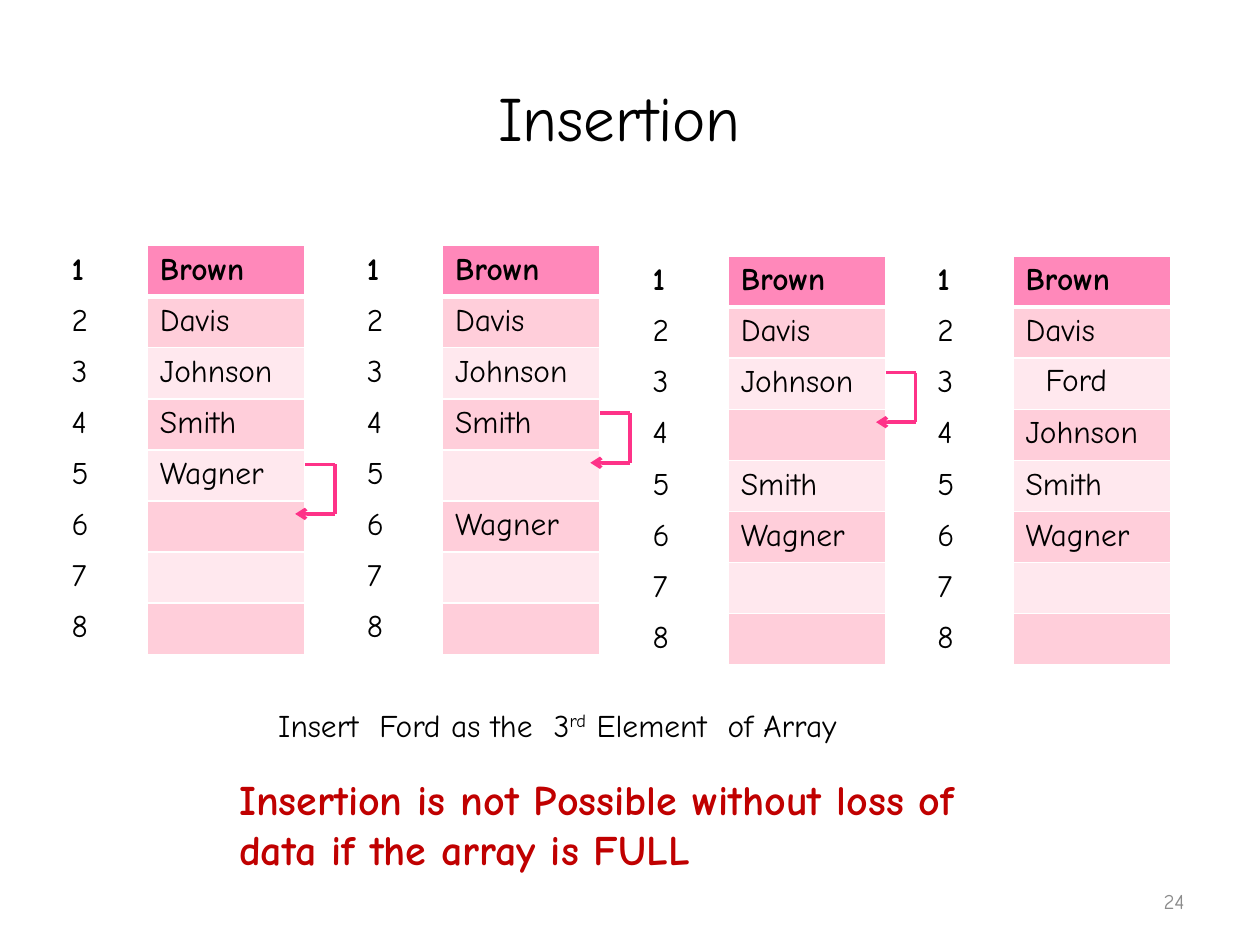
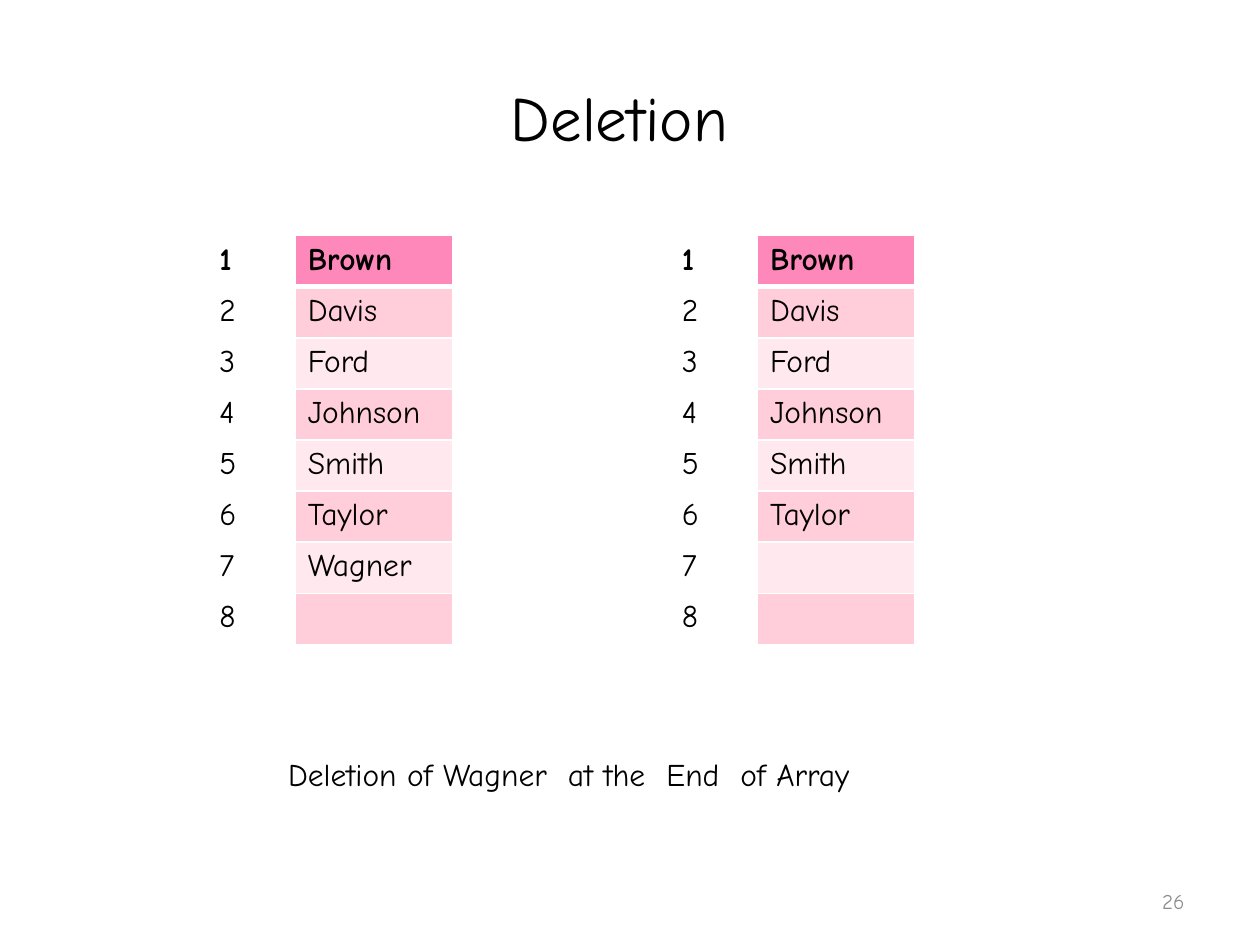
import dataclasses

import lxml.etree
import pptx
import pptx.dml.color
import pptx.enum.shapes
import pptx.enum.text
import pptx.oxml.ns
import pptx.util

Cm = pptx.util.Cm
Pt = pptx.util.Pt
ALIGN = pptx.enum.text.PP_ALIGN
ANCHOR = pptx.enum.text.MSO_ANCHOR


@dataclasses.dataclass(frozen=True)
class Theme:
    font: str = "Comic Neue"
    ink: str = "000000"
    border: str = "FFFFFF"
    first_row: str = "FF88BA"
    bands: tuple = ("FFE8EE", "FFCEDA")
    arrow: str = "FE3288"
    warning: str = "C00000"
    page_number: str = "8C8C8C"
    title_size: int = 36
    warning_size: int = 24
    body_size: int = 18
    page_number_size: int = 12


THEME = Theme()
ROW_COUNT = 8
ROW_HEIGHT = 1.03
INDEX_WIDTH = 1.78
NAME_WIDTH = 3.18
ARRAY_WIDTH = INDEX_WIDTH + NAME_WIDTH


def rgb(color):
    return pptx.dml.color.RGBColor.from_string(color)


def format_runs(para, size, color, bold=False):
    for span in para.runs:
        span.font.name = THEME.font
        span.font.size = Pt(size)
        span.font.color.rgb = rgb(color)
        span.font.bold = bold


def add_text(page, place, text, size=THEME.body_size, color=THEME.ink,
             bold=False, align=ALIGN.LEFT, anchor=ANCHOR.TOP):
    box = page.shapes.add_textbox(*map(Cm, place))
    frame = box.text_frame
    frame.word_wrap = True
    frame.vertical_anchor = anchor
    frame.text = text
    para = frame.paragraphs[0]
    para.alignment = align
    format_runs(para, size, color, bold)
    return para


def add_page(deck, title, number):
    page = deck.slides.add_slide(deck.slide_layouts[6])
    add_text(page, (1.27, 0.76, 22.86, 3.18), title, THEME.title_size,
             align=ALIGN.CENTER, anchor=ANCHOR.MIDDLE)
    add_text(page, (18.21, 17.65, 5.92, 1.02), str(number), THEME.page_number_size,
             THEME.page_number, align=ALIGN.RIGHT, anchor=ANCHOR.MIDDLE)
    return page


def set_borders(cell, bottom_width):
    properties = cell._tc.get_or_add_tcPr()
    for side, width in (("L", 1), ("R", 1), ("T", 1), ("B", bottom_width)):
        line = lxml.etree.SubElement(properties, pptx.oxml.ns.qn(f"a:ln{side}"), w=str(Pt(width)))
        fill = lxml.etree.SubElement(line, pptx.oxml.ns.qn("a:solidFill"))
        lxml.etree.SubElement(fill, pptx.oxml.ns.qn("a:srgbClr"), val=THEME.border)


def fill_cell(cell, text, is_first, color=None):
    cell.text = text
    format_runs(cell.text_frame.paragraphs[0], THEME.body_size, THEME.ink, is_first)
    set_borders(cell, 3 if is_first else 1)
    if color:
        cell.fill.solid()
        cell.fill.fore_color.rgb = rgb(color)
    else:
        cell.fill.background()


def add_array(page, left, top, names):
    frame = page.shapes.add_table(ROW_COUNT, 2, Cm(left), Cm(top),
                                  Cm(ARRAY_WIDTH), Cm(ROW_COUNT * ROW_HEIGHT))
    table = frame.table
    table.first_row = False
    table.horz_banding = False
    for column, width in zip(table.columns, (INDEX_WIDTH, NAME_WIDTH)):
        column.width = Cm(width)
    padded_names = names + [""] * (ROW_COUNT - len(names))
    for row, name in enumerate(padded_names):
        table.rows[row].height = Cm(ROW_HEIGHT)
        is_first = row == 0
        color = THEME.first_row if is_first else THEME.bands[row % 2]
        fill_cell(table.cell(row, 0), str(row + 1), is_first)
        fill_cell(table.cell(row, 1), name, is_first, color)


def add_line(group, start, end):
    line = group.shapes.add_connector(pptx.enum.shapes.MSO_CONNECTOR.STRAIGHT,
                                      *map(Cm, start + end))
    line.line.color.rgb = rgb(THEME.arrow)
    line.line.width = Pt(2)
    lxml.etree.SubElement(line._element.spPr, pptx.oxml.ns.qn("a:effectLst"))
    return line


def add_shift_arrow(page, array_left, array_top, row):
    edge = array_left + ARRAY_WIDTH
    outer = edge + 0.6
    top = array_top + row * ROW_HEIGHT + 0.29
    bottom = top + 1
    points = [(edge, top), (outer, top), (outer, bottom), (edge - 0.2, bottom)]
    group = page.shapes.add_group_shape()
    for start, end in zip(points, points[1:]):
        line = add_line(group, start, end)
    lxml.etree.SubElement(line.line._get_or_add_ln(), pptx.oxml.ns.qn("a:tailEnd"), type="arrow")


def build_insertion(deck):
    page = add_page(deck, "Insertion ", 24)
    steps = [
        (1.19, 4.95, ["Brown", "Davis", "Johnson", "Smith", "Wagner"], 4),
        (7.14, 4.95, ["Brown", "Davis", "Johnson", "Smith", "", "Wagner"], 3),
        (12.9, 5.16, ["Brown", "Davis", "Johnson", "", "Smith", "Wagner"], 2),
        (18.64, 5.16, ["Brown", "Davis", "", "Johnson", "Smith", "Wagner"], None),
    ]
    for left, top, names, moved_row in steps:
        add_array(page, left, top, names)
        if moved_row is not None:
            add_shift_arrow(page, left, top, moved_row)
    add_text(page, (20.83, 7.14, 2.77, 1.02), "Ford")

    caption = add_text(page, (5.36, 14.1, 14.3, 1.02), "Insert  Ford as the  3")
    for text in ("rd", " Element  of Array"):
        caption.add_run().text = text
    format_runs(caption, THEME.body_size, THEME.ink)
    caption.runs[1].font._element.set("baseline", "30000")

    add_text(page, (4.57, 15.47, 16.66, 2.31),
             "Insertion is not Possible without loss of data if the array is FULL",
             THEME.warning_size, THEME.warning, bold=True)


def build_deletion(deck):
    page = add_page(deck, "Deletion ", 26)
    remaining = ["Brown", "Davis", "Ford", "Johnson", "Smith", "Taylor"]
    add_array(page, 4.17, 4.75, remaining + ["Wagner"])
    add_array(page, 13.49, 4.75, remaining)
    add_text(page, (5.56, 15.09, 14.3, 1.02), "Deletion of Wagner  at the  End  of Array")


def main():
    deck = pptx.Presentation()
    deck.slide_width = Cm(25.4)
    deck.slide_height = Cm(19.05)
    build_insertion(deck)
    build_deletion(deck)
    deck.save("out.pptx")


if __name__ == "__main__":
    main()
